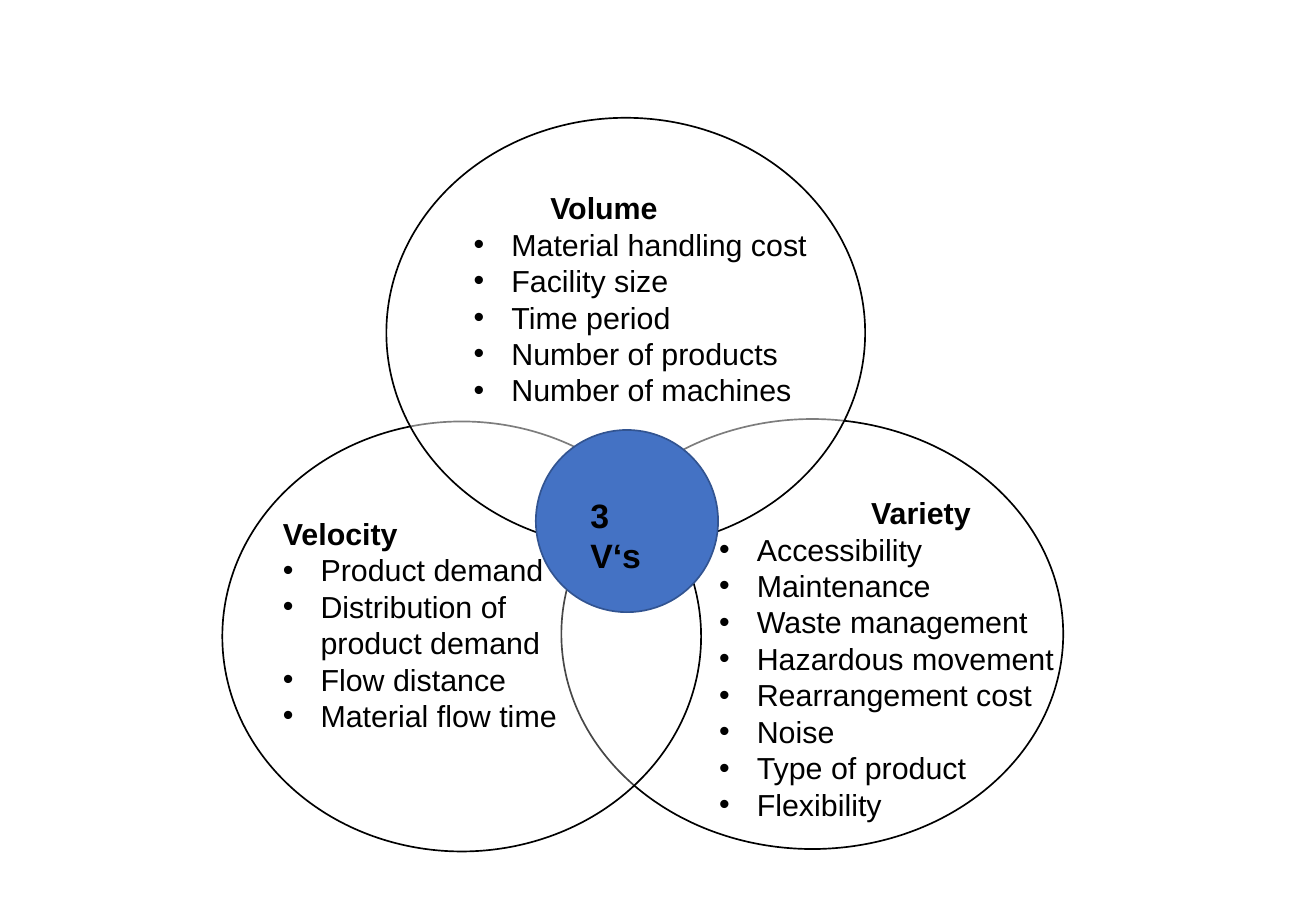
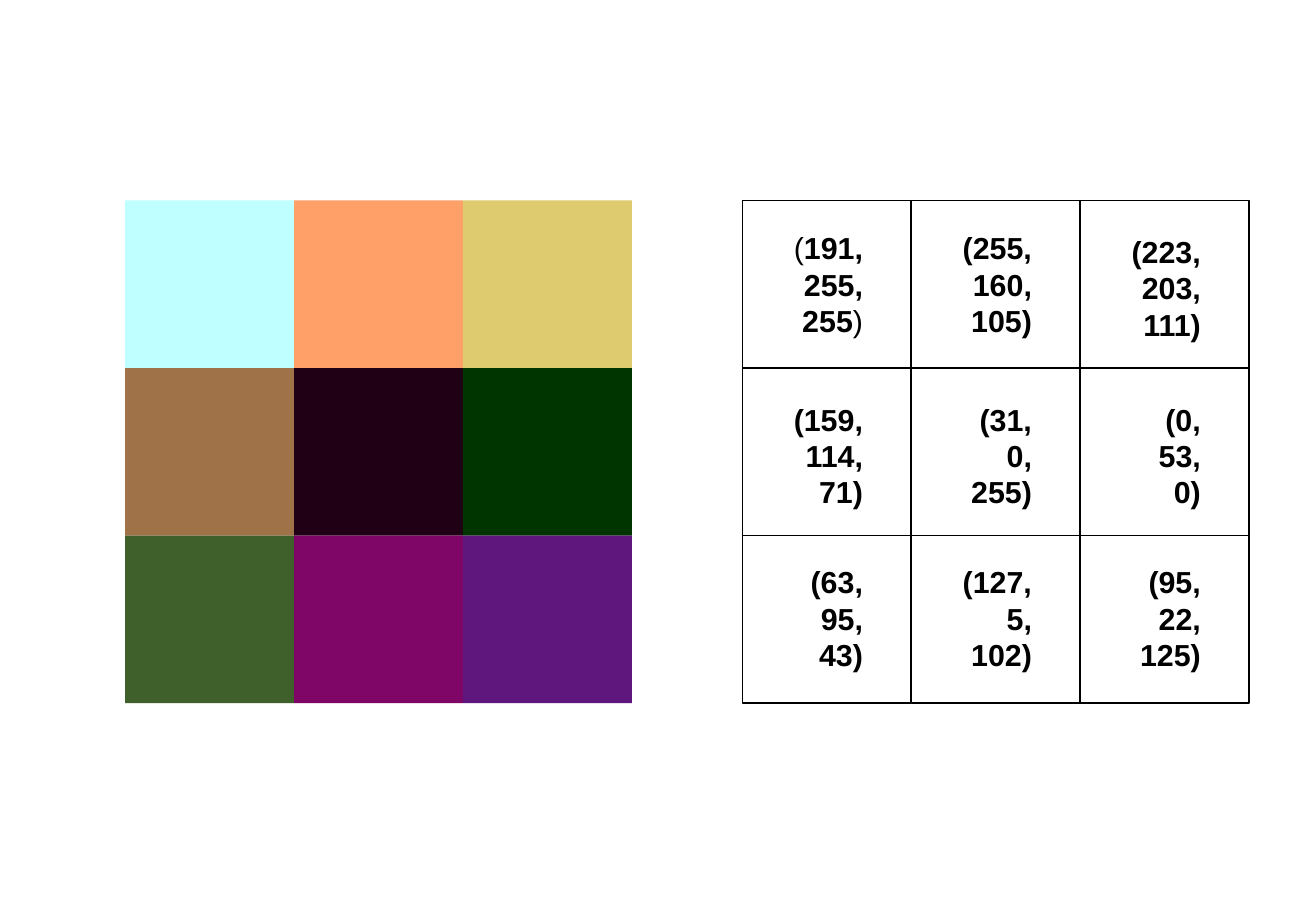
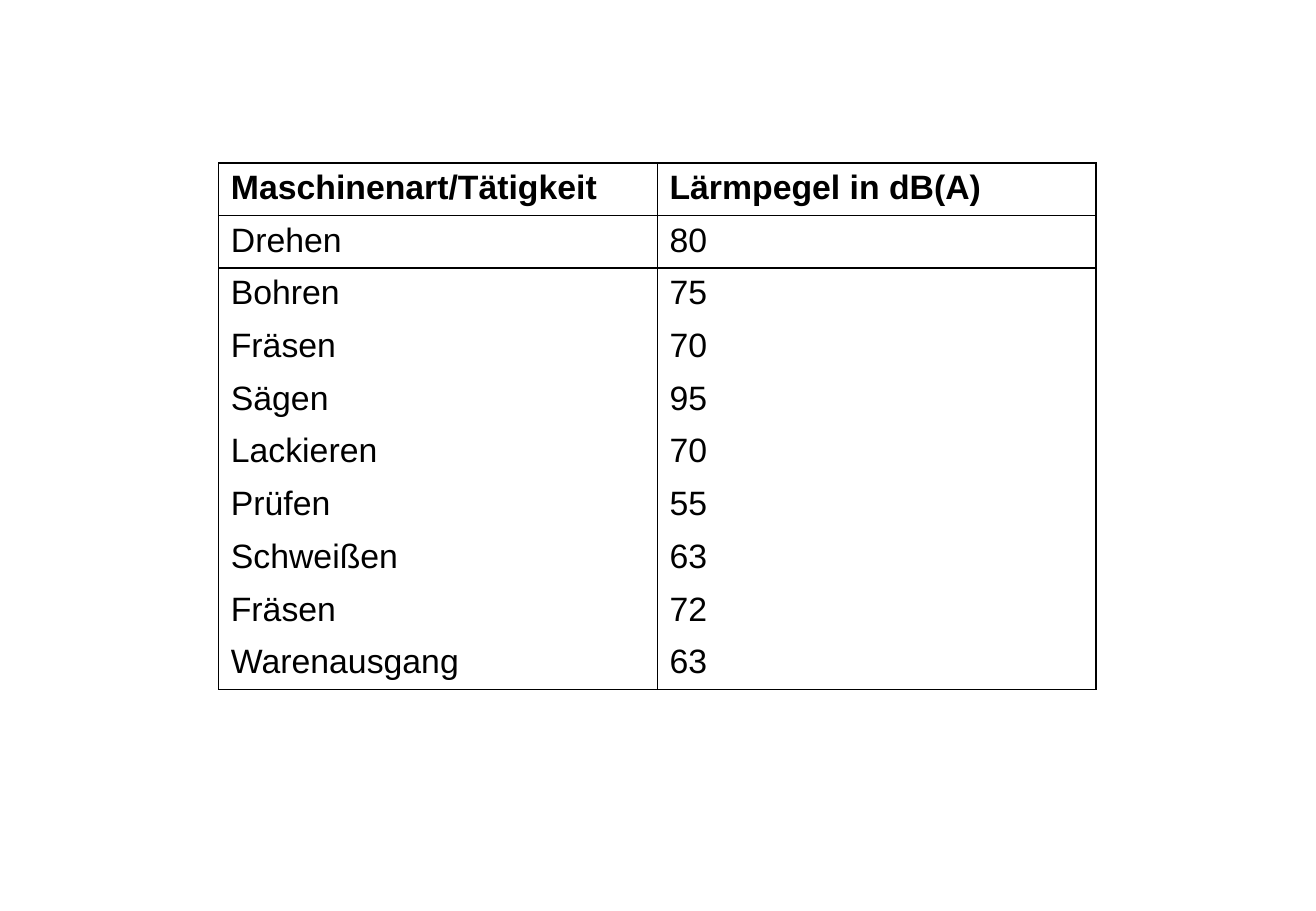
from pptx import Presentation
from pptx.dml.color import RGBColor as RGB
from pptx.enum.shapes import MSO_SHAPE as SHAPE
from pptx.enum.text import PP_ALIGN as ALIGN
from pptx.oxml.ns import qn
from pptx.util import Inches, Pt
from lxml.etree import SubElement as Sub

BLACK = RGB(0, 0, 0)
WHITE = RGB(255, 255, 255)
BLUE = RGB(0x44, 0x72, 0xC4)
NAVY = RGB(0x32, 0x54, 0x91)
FONT = "Arial"
NO_STYLE = "{2D5ABB26-0587-4C30-8999-92F81FD0307C}"


def draw(slide, kind, box, fill=None, line=None, alpha=100):
    shape = slide.shapes.add_shape(kind, *map(Inches, box))
    shape.shadow.inherit = False
    if fill is None:
        shape.fill.background()
    else:
        shape.fill.solid()
        shape.fill.fore_color.rgb = fill
    if alpha < 100:
        tint = shape.fill._xPr.find(qn("a:solidFill"))[0]
        Sub(tint, qn("a:alpha"), val=str(alpha * 1000))
    if line is None:
        shape.line.fill.background()
    else:
        shape.line.color.rgb = line
        shape.line.width = Pt(1)


def style(par, size, bold):
    for run in par.runs:
        run.font.name = FONT
        run.font.size = Pt(size)
        run.font.bold = bold
        run.font.color.rgb = BLACK


deck = Presentation()
deck.slide_width = Inches(10.83)
deck.slide_height = Inches(7.5)
venn, grid, noise = [deck.slides.add_slide(deck.slide_layouts[6]) for _ in range(3)]

rings = [
    ((4.62, 3.45, 4.13, 3.54), 100),
    ((1.83, 3.47, 3.94, 3.54), 28),
    ((3.18, 0.97, 3.94, 3.54), 49),
]
for box, alpha in rings:
    draw(venn, SHAPE.OVAL, box, WHITE, BLACK, alpha)

topics = [
    ((2.23, 4.19, 2.53, 1.92), 0, "Velocity",
     ["Product demand", "Distribution of product demand", "Flow distance",
      "Material flow time"]),
    ((3.8, 1.51, 3.22, 1.92), 0.63, "Volume",
     ["Material handling cost", "Facility size", "Time period",
      "Number of products", "Number of machines"]),
    ((5.82, 4.02, 2.99, 2.83), 1.25, "Variety",
     ["Accessibility", "Maintenance", "Waste management", "Hazardous movement",
      "Rearrangement cost", "Noise", "Type of product", "Flexibility"]),
]
for box, indent, head, items in topics:
    frame = venn.shapes.add_textbox(*map(Inches, box)).text_frame
    frame.word_wrap = True
    frame.text = "\n".join([head, *items])
    first, *rest = frame.paragraphs
    style(first, 18, True)
    first._p.get_or_add_pPr().set("marL", str(Inches(indent)))
    for par in rest:
        style(par, 18, False)
        props = par._p.get_or_add_pPr()
        props.set("marL", str(Inches(0.31)))
        props.set("indent", str(-Inches(0.31)))
        Sub(props, qn("a:buFont"), typeface=FONT)
        Sub(props, qn("a:buChar"), char="•")

draw(venn, SHAPE.OVAL, (4.41, 3.54, 1.5, 1.5), BLUE, NAVY)
hub = venn.shapes.add_textbox(*map(Inches, (4.76, 4.02, 0.79, 0.72))).text_frame
hub.word_wrap = True
hub.text = "3 V‘s"
style(hub.paragraphs[0], 20, True)

WIDE, HIGH, TOP = 1.39, 1.38, 1.65
tiles = [
    ("BFFFFF", "(191,255,255)", 1.84),
    ("FFA069", "(255,160,105)", 1.84),
    ("DFCB6F", "(223,203,111)", 1.87),
    ("9F7247", "(159,114,71)", 3.25),
    ("1F0015", "(31, 0, 255)", 3.25),
    ("003500", "(0, 53, 0)", 3.25),
    ("3F5F2B", "(63, 95, 43)", 4.59),
    ("7F0566", "(127,5, 102)", 4.59),
    ("5F167D", "(95, 22, 125)", 4.59),
]
for i, (tone, label, top) in enumerate(tiles):
    row, col = divmod(i, 3)
    left, y = col * WIDE, TOP + row * HIGH
    draw(grid, SHAPE.RECTANGLE, (1.03 + left, y, WIDE, HIGH), RGB.from_string(tone))
    draw(grid, SHAPE.RECTANGLE, (6.11 + left, y, WIDE, HIGH), line=BLACK)
    box = (6.41 + left, top, 0.79, 1.01)
    frame = grid.shapes.add_textbox(*map(Inches, box)).text_frame
    frame.word_wrap = True
    par = frame.paragraphs[0]
    par.alignment = ALIGN.RIGHT
    parts = ["(", label[1:-1], ")"] if i == 0 else [label]
    for part in parts:
        par.add_run().text = part
    style(par, 18, True)
    if i == 0:
        par.runs[0].font.bold = par.runs[2].font.bold = False

rows = [
    ("Maschinenart/Tätigkeit", "Lärmpegel in dB(A)"),
    ("Drehen", "80"),
    ("Bohren", "75"),
    ("Fräsen", "70"),
    ("Sägen", "95"),
    ("Lackieren", "70"),
    ("Prüfen", "55"),
    ("Schweißen", "63"),
    ("Fräsen", "72"),
    ("Warenausgang", "63"),
]
last = len(rows) - 1
box = (1.8, 1.34, 7.22, 0.41 * len(rows))
table = noise.shapes.add_table(len(rows), 2, *map(Inches, box)).table
table.first_row = table.horz_banding = False
table._tbl.tblPr.find(qn("a:tableStyleId")).text = NO_STYLE
for r, texts in enumerate(rows):
    table.rows[r].height = Inches(0.41)
    sides = ["L", "R"]
    if r < 2:
        sides.append("T")
    if r in (0, last):
        sides.append("B")
    for c, text in enumerate(texts):
        cell = table.cell(r, c)
        cell.text_frame.text = text
        style(cell.text_frame.paragraphs[0], 20, r == 0)
        props = cell._tc.get_or_add_tcPr()
        for side in sides:
            edge = Sub(props, qn("a:ln" + side), w=str(Pt(1)))
            Sub(Sub(edge, qn("a:solidFill")), qn("a:srgbClr"), val=str(BLACK))
        cell.fill.background()

deck.save("out.pptx")
